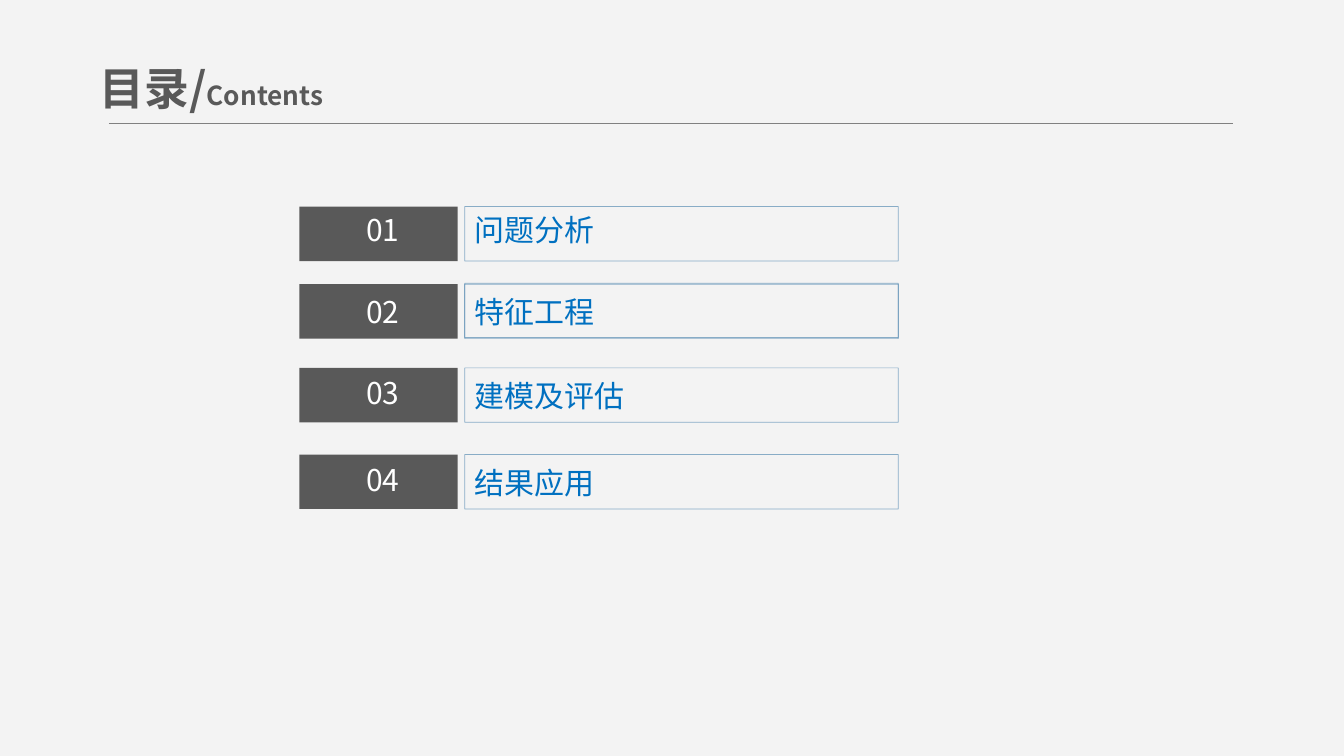
import pptx
import pptx.dml.color
import pptx.enum.shapes
import pptx.enum.text
import pptx.oxml.ns
import pptx.util
from lxml import etree

Inches = pptx.util.Inches
FONT = "Noto Sans CJK SC"
GREY = "595959"
BLUE = "0070C0"
# Row top, number text offset, topic text offset, topic
CONTENTS = [
    (2.05, 0, 0, "问题分析"),
    (2.82, 0.04, 0.04, "特征工程"),
    (3.65, 0.02, 0.05, "建模及评估"),
    (4.51, 0.02, 0.05, "结果应用"),
]


def color(hex_string):
    return pptx.dml.color.RGBColor.from_string(hex_string)


def add_child(parent, tag, **attributes):
    return etree.SubElement(parent, pptx.oxml.ns.qn(tag), **attributes)


def add_run(paragraph, text, size, hex_string, bold=False):
    run = paragraph.add_run()
    run.text = text
    run.font.size = pptx.util.Pt(size)
    run.font.bold = bold
    run.font.color.rgb = color(hex_string)
    run.font.name = FONT
    add_child(run.font._element, "a:ea", typeface=FONT)


def add_text_box(slide, left, top, width, height):
    box = slide.shapes.add_textbox(Inches(left), Inches(top), Inches(width), Inches(height))
    box.text_frame.word_wrap = True
    return box.text_frame


def add_label(slide, left, top, width, text, hex_string, alignment):
    frame = add_text_box(slide, left, top, width, 0.46)
    frame.auto_size = pptx.enum.text.MSO_AUTO_SIZE.SHAPE_TO_FIT_TEXT
    paragraph = frame.paragraphs[0]
    paragraph.alignment = alignment
    add_run(paragraph, text, 21.4, hex_string)


def add_rectangle(slide, left, top, width):
    shape = slide.shapes.add_shape(
        pptx.enum.shapes.MSO_SHAPE.RECTANGLE,
        Inches(left), Inches(top), Inches(width), Inches(0.54))
    shape.shadow.inherit = False
    return shape


def add_number_block(slide, left, top):
    shape = add_rectangle(slide, left, top, 1.57)
    shape.fill.solid()
    shape.fill.fore_color.rgb = color(GREY)
    shape.line.fill.background()


def add_topic_frame(slide, left, top):
    shape = add_rectangle(slide, left, top, 4.3)
    shape.fill.background()
    shape.line.width = pptx.util.Pt(0.5)
    shape.line.color.rgb = color("00538E")
    line_color = shape.line._ln.find(".//" + pptx.oxml.ns.qn("a:srgbClr"))
    add_child(line_color, "a:alpha", val="44000")


def add_heading(slide, left, top):
    # Title
    frame = add_text_box(slide, left, top, 3.29, 0.72)
    frame.vertical_anchor = pptx.enum.text.MSO_ANCHOR.MIDDLE
    paragraph = frame.paragraphs[0]
    add_run(paragraph, "目录/", 32, GREY, bold=True)
    add_run(paragraph, "Contents", 18.7, GREY, bold=True)
    # Rule under the title
    rule_left, rule_top = left + 0.19, top + 0.72
    rule = slide.shapes.add_connector(
        pptx.enum.shapes.MSO_CONNECTOR.STRAIGHT,
        Inches(rule_left), Inches(rule_top), Inches(rule_left + 11.15), Inches(rule_top))
    rule.line.width = pptx.util.Pt(0.75)
    rule.line.color.rgb = color("808080")
    add_child(rule._element.spPr, "a:effectLst")


def add_contents_row(slide, left, top, number, number_offset, topic, topic_offset):
    topic_left = left + 1.64
    add_number_block(slide, left, top)
    add_label(slide, left, top + number_offset, 1.65, f"{number:02d}", "FFFFFF",
              pptx.enum.text.PP_ALIGN.CENTER)
    add_topic_frame(slide, topic_left, top)
    add_label(slide, topic_left, top + topic_offset, 3.78, topic, BLUE,
              pptx.enum.text.PP_ALIGN.LEFT)


def main():
    presentation = pptx.Presentation()
    presentation.slide_width = Inches(13.33)
    presentation.slide_height = Inches(7.5)
    slide = presentation.slides.add_slide(presentation.slide_layouts[6])
    slide.background.fill.solid()
    slide.background.fill.fore_color.rgb = color("F3F3F3")

    add_heading(slide, 0.89, 0.51)
    for number, (top, number_offset, topic_offset, topic) in enumerate(CONTENTS, 1):
        add_contents_row(slide, 2.97, top, number, number_offset, topic, topic_offset)
    # Second frame that darkens the outline of topic 02
    add_topic_frame(slide, 4.61, 2.81)

    presentation.save("out.pptx")


if __name__ == "__main__":
    main()
